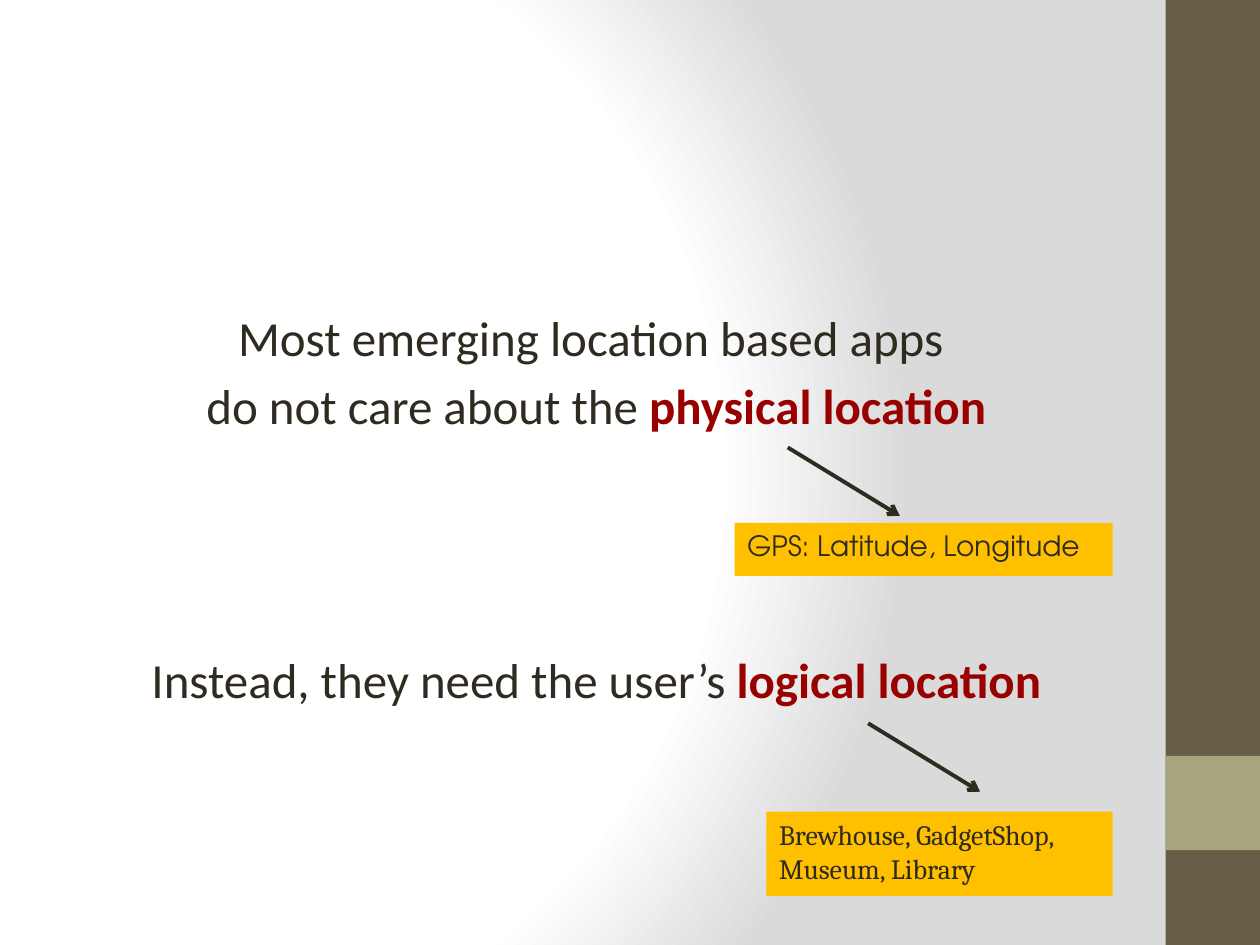
from lxml.etree import SubElement
from pptx import Presentation
from pptx.dml.color import RGBColor
from pptx.enum.shapes import MSO_CONNECTOR, MSO_SHAPE
from pptx.enum.text import MSO_ANCHOR, PP_ALIGN
from pptx.oxml import parse_xml
from pptx.oxml.ns import nsdecls, qn
from pptx.util import Cm, Pt

INK = "2F2B20"
RED = "990000"
AMBER = "FFC000"


def color(value):
    return RGBColor.from_string(value)


def add_rectangle(left, top, width, height, fill):
    shape = slide.shapes.add_shape(
        MSO_SHAPE.RECTANGLE, Cm(left), Cm(top), Cm(width), Cm(height)
    )
    shape.shadow.inherit = False
    shape.fill.solid()
    shape.fill.fore_color.rgb = color(fill)
    shape.line.fill.background()
    return shape


deck = Presentation()
deck.slide_width = Cm(25.4)
deck.slide_height = Cm(19.05)
slide = deck.slides.add_slide(deck.slide_layouts[6])

slide.background.fill.gradient()
gradient = slide.background._cSld.find(".//" + qn("a:gradFill"))
for child in list(gradient):
    gradient.remove(child)
stops = SubElement(gradient, qn("a:gsLst"))
for position, value in [(0, "FFFFFF"), (75, "FFFFFF"), (100, "DADADA")]:
    stop = SubElement(stops, qn("a:gs"), pos=str(position * 1000))
    SubElement(stop, qn("a:srgbClr"), val=value)
gradient.append(parse_xml(
    f'<a:path {nsdecls("a")} path="circle">'
    '<a:fillToRect l="20000" t="50000" r="100000" b="50000"/></a:path>'
))

add_rectangle(23.5, 0, 1.9, 19.05, "675E47")
add_rectangle(23.5, 15.24, 1.9, 1.9, "A9A57C")

statements = [
    (0, "Most emerging location based apps ", ""),
    (5.5, "do not care about the ", "physical location"),
    (123, "Instead, they need the user’s ", "logical location"),
]
box = slide.shapes.add_textbox(Cm(1.44), Cm(6.07), Cm(21.16), Cm(11.7))
box.text_frame.word_wrap = True
for index, (space, plain, emphasis) in enumerate(statements):
    page_text = box.text_frame
    para = page_text.add_paragraph() if index else page_text.paragraphs[0]
    para.alignment = PP_ALIGN.CENTER
    if space:
        para.space_before = Pt(space)
    for words, value, bold in [(plain, INK, False), (emphasis, RED, True)]:
        if words:
            span = para.add_run()
            span.text = words
            span.font.name = "Calibri"
            span.font.size = Pt(28)
            span.font.bold = bold
            span.font.color.rgb = color(value)

examples = [
    (14.81, 10.54, 7.62, 1.07, "GPS: Latitude, Longitude", "TeX Gyre Adventor"),
    (15.45, 16.36, 6.98, 1.7, "Brewhouse, GadgetShop, Museum, Library", "Cambria"),
]
for left, top, width, height, words, font in examples:
    label = add_rectangle(left, top, width, height, AMBER)
    label.text_frame.word_wrap = True
    label.text_frame.vertical_anchor = MSO_ANCHOR.TOP
    label.text_frame.text = words
    para = label.text_frame.paragraphs[0]
    para.alignment = PP_ALIGN.LEFT
    para.font.name = font
    para.font.size = Pt(16)
    para.font.color.rgb = color(INK)

for left, top in [(15.88, 9.02), (17.5, 14.58)]:
    arrow = slide.shapes.add_connector(
        MSO_CONNECTOR.STRAIGHT, Cm(left), Cm(top), Cm(left + 2.26), Cm(top + 1.38)
    )
    arrow.line.color.rgb = color(INK)
    arrow.line.width = Pt(2.25)
    SubElement(arrow.line._get_or_add_ln(), qn("a:tailEnd"), type="arrow")
    SubElement(arrow._element.spPr, qn("a:effectLst"))

deck.save("out.pptx")
